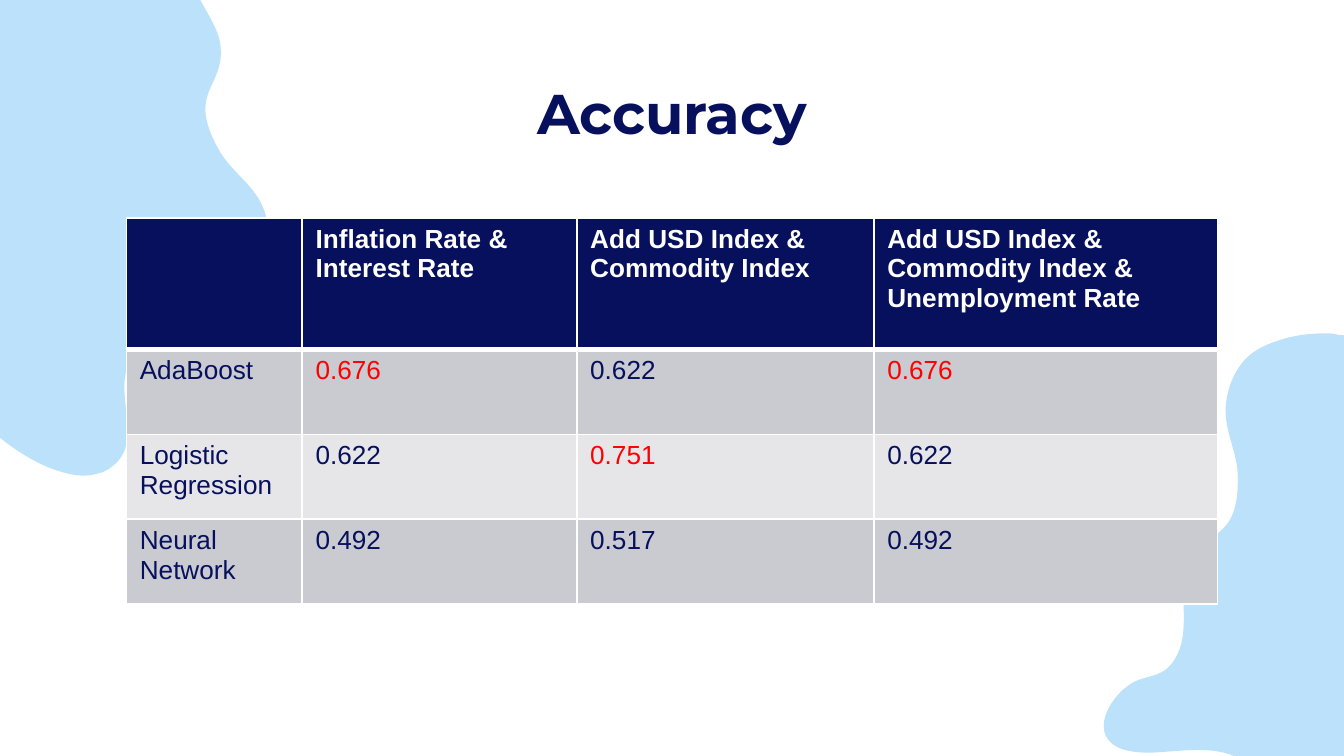
from lxml import etree
from pptx import Presentation
from pptx.dml.color import RGBColor
from pptx.enum.text import MSO_ANCHOR, PP_ALIGN
from pptx.oxml.ns import qn
from pptx.util import Pt

CENTER = PP_ALIGN.CENTER
TOP = MSO_ANCHOR.TOP

NAVY, WHITE, RED, SKY = "07105C", "FFFFFF", "FF0000", "8FCEF9"
BANDS = ("CACAD1", "E6E6E9")

COLUMN_WIDTHS = (94.2, 147.1, 159.2, 184)
HEADER_HEIGHT, ROW_HEIGHT = 70.4, 45.5
ROWS = (
    ("", "Inflation Rate & Interest Rate", "Add USD Index &\nCommodity Index",
     "Add USD Index &\nCommodity Index & Unemployment Rate"),
    ("AdaBoost", "0.676", "0.622", "0.676"),
    ("Logistic Regression", "0.622", "0.751", "0.622"),
    ("Neural Network", "0.492", "0.517", "0.492"),
)
BEST_SCORES = ("0.676", "0.751")

BLOB_UNIT = Pt(0.72)
BLOB_WIDTH, BLOB_HEIGHT = 421, 427
BLOB_START = (302, 0)
BLOB_CURVES = (
    (294, 0, 285, 3, 279, 11), (269, 23, 266, 44, 256, 56),
    (248, 67, 236, 71, 225, 71), (225, 71, 225, 71, 224, 71),
    (213, 71, 202, 67, 190, 66),
    (187, 65, 184, 65, 181, 65), (172, 65, 163, 66, 154, 68),
    (144, 71, 133, 74, 124, 82), (115, 90, 108, 104, 107, 120),
    (106, 138, 116, 154, 116, 172), (117, 221, 91, 210, 79, 238),
    (71, 255, 81, 284, 71, 304), (62, 323, 48, 318, 36, 326),
    (15, 340, 0, 377, 49, 377), (60, 377, 73, 375, 86, 375),
    (103, 375, 119, 378, 129, 393), (137, 403, 143, 409, 152, 409),
    (155, 409, 157, 409, 160, 408), (162, 408, 164, 407, 165, 407),
    (182, 407, 188, 427, 209, 427), (229, 427, 236, 409, 258, 409),
    (264, 409, 271, 410, 280, 413), (283, 414, 286, 415, 289, 415),
    (302, 415, 311, 403, 321, 399), (325, 398, 330, 397, 334, 397),
    (342, 397, 351, 399, 359, 399), (359, 399, 359, 399, 359, 399),
    (372, 399, 382, 384, 389, 371),
    (396, 360, 405, 352, 412, 342), (420, 331, 421, 315, 419, 301),
    (413, 263, 383, 249, 375, 213), (372, 194, 375, 173, 377, 153),
    (379, 103, 364, 52, 338, 21), (329, 11, 320, 3, 309, 1),
    (307, 0, 304, 0, 302, 0),
)


def rgb(color):
    return RGBColor.from_string(color)


def set_font(paragraph, name, size, color, bold):
    font = paragraph.font
    font.name, font.size, font.bold = name, Pt(size), bold
    font.color.rgb = rgb(color)


def add_path_step(outline, tag, coordinates):
    path_step = etree.SubElement(outline, qn(tag))
    for x, y in zip(coordinates[::2], coordinates[1::2]):
        etree.SubElement(path_step, qn("a:pt"), x=str(x), y=str(y))


def curve_outline(blob):
    outline = blob._element.find(".//" + qn("a:path"))
    for straight_step in list(outline):
        outline.remove(straight_step)
    add_path_step(outline, "a:moveTo", BLOB_START)
    for curve in BLOB_CURVES:
        add_path_step(outline, "a:cubicBezTo", curve)
    add_path_step(outline, "a:close", ())


def add_blob(slide, left, top, rotation=0):
    builder = slide.shapes.build_freeform(0, 0, scale=BLOB_UNIT)
    builder.add_line_segments([(BLOB_WIDTH, 0), (BLOB_WIDTH, BLOB_HEIGHT), (0, BLOB_HEIGHT)])
    blob = builder.convert_to_shape(Pt(left), Pt(top))
    curve_outline(blob)
    blob.rotation = rotation
    blob.shadow.inherit = False
    blob.line.fill.background()
    blob.fill.solid()
    blob.fill.fore_color.rgb = rgb(SKY)
    sky_color = blob._element.spPr.find(qn("a:solidFill")).find(qn("a:srgbClr"))
    etree.SubElement(sky_color, qn("a:alpha"), val="60000")


def add_title(slide, text):
    title = slide.shapes.add_textbox(Pt(36), Pt(35), Pt(648), Pt(45)).text_frame
    title.word_wrap = True
    title.vertical_anchor = TOP
    title.margin_top = title.margin_bottom = Pt(7.2)
    title.text = text
    title.paragraphs[0].alignment = CENTER
    set_font(title.paragraphs[0], "Montserrat", 30, NAVY, True)


def add_borders(cell, bottom_width):
    properties = cell._tc.get_or_add_tcPr()
    for side, width in (("L", 1), ("R", 1), ("T", 1), ("B", bottom_width)):
        border = etree.SubElement(properties, qn("a:ln" + side), w=str(Pt(width)))
        paint = etree.SubElement(border, qn("a:solidFill"))
        etree.SubElement(paint, qn("a:srgbClr"), val=WHITE)


def fill_cell(cell, text, row):
    is_header = row == 0
    add_borders(cell, 3 if is_header else 1)
    cell.fill.solid()
    cell.fill.fore_color.rgb = rgb(NAVY if is_header else BANDS[(row - 1) % 2])
    cell.text = text
    color = WHITE if is_header else RED if text in BEST_SCORES else NAVY
    for paragraph in cell.text_frame.paragraphs:
        set_font(paragraph, "Arial", 14, color, is_header)


def add_accuracy_table(slide, left, top):
    heights = [HEADER_HEIGHT] + [ROW_HEIGHT] * (len(ROWS) - 1)
    table = slide.shapes.add_table(len(ROWS), len(COLUMN_WIDTHS), Pt(left), Pt(top),
                                   Pt(sum(COLUMN_WIDTHS)), Pt(sum(heights))).table
    for column, width in zip(table.columns, COLUMN_WIDTHS):
        column.width = Pt(width)
    for row, (height, texts) in enumerate(zip(heights, ROWS)):
        table.rows[row].height = Pt(height)
        for column, text in enumerate(texts):
            fill_cell(table.cell(row, column), text, row)


def main():
    deck = Presentation()
    deck.slide_width, deck.slide_height = Pt(720), Pt(405)
    slide = deck.slides.add_slide(deck.slide_layouts[6])
    add_blob(slide, -108.7, -68.4, rotation=152)
    add_blob(slide, 579.6, 131.8)
    add_title(slide, "Accuracy")
    add_accuracy_table(slide, 67.7, 116.8)
    deck.save("out.pptx")


if __name__ == "__main__":
    main()
